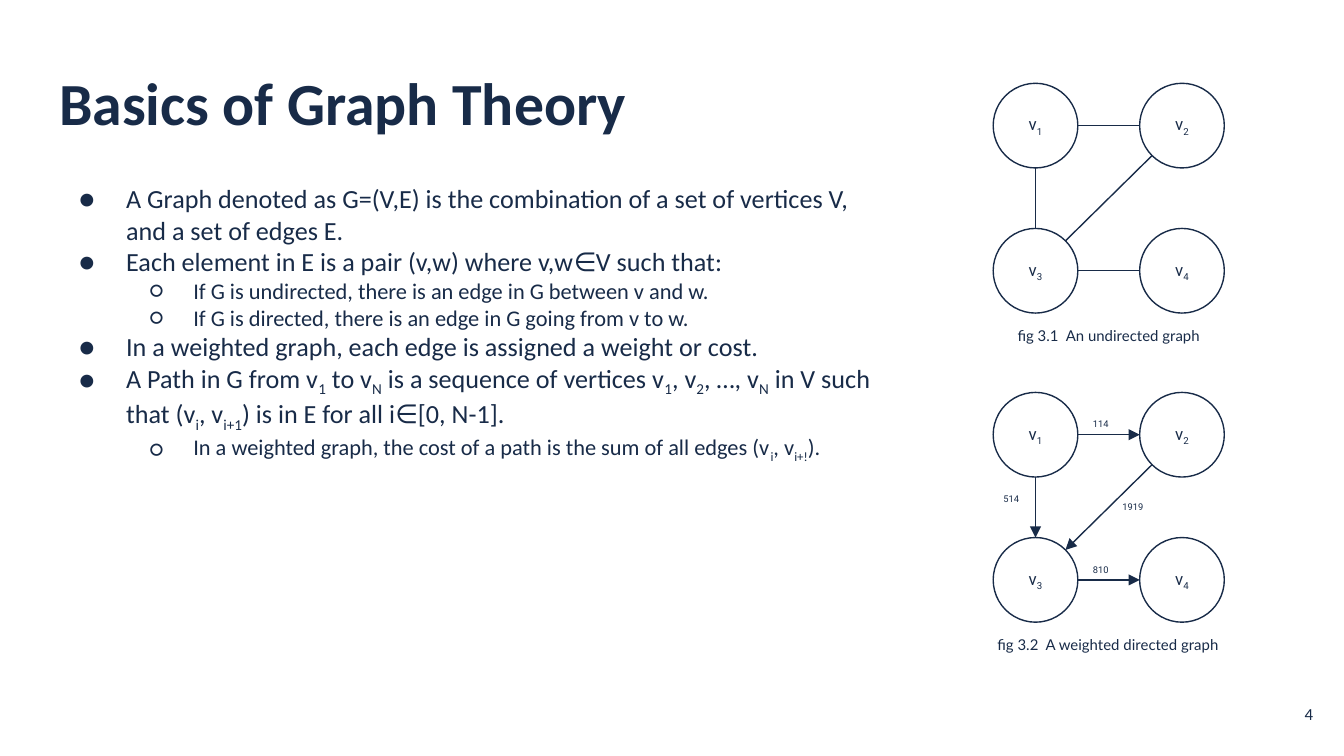
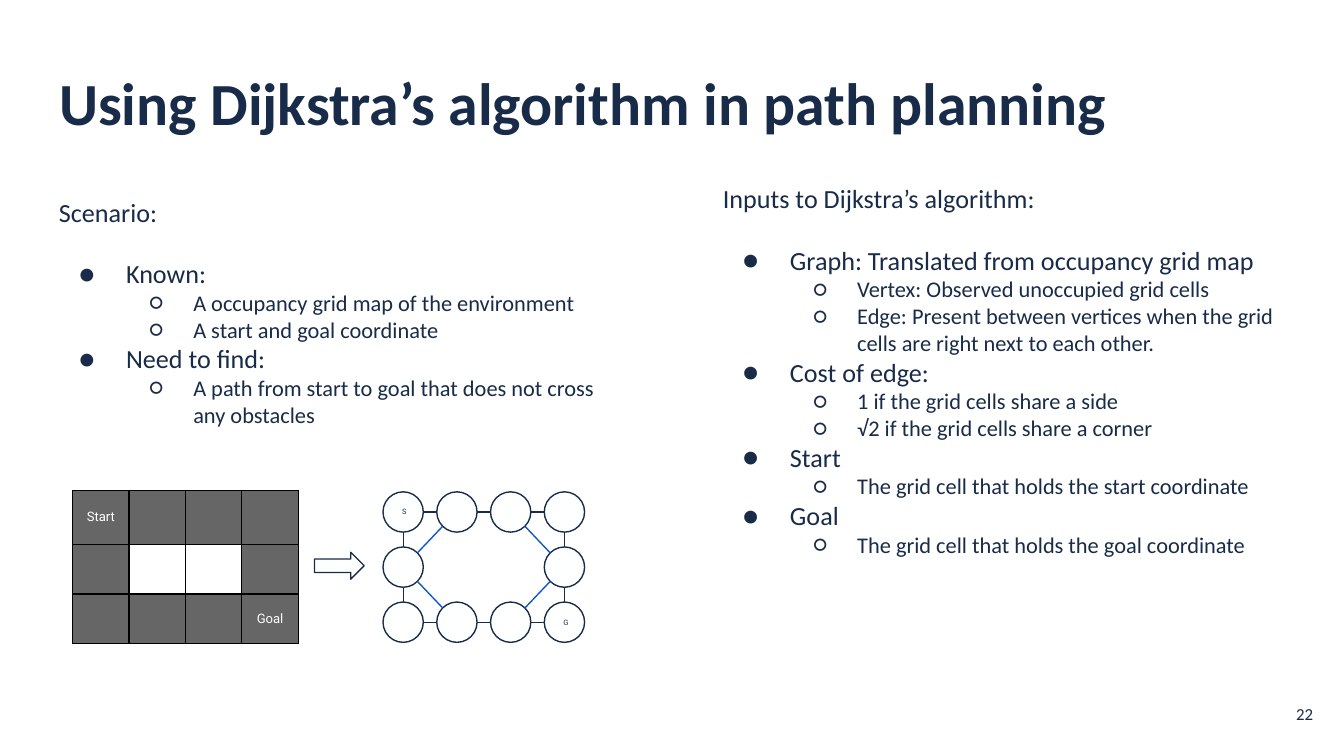
"""Build two slides on graph theory and on path planning with Dijkstra's algorithm."""
from dataclasses import dataclass
from typing import NamedTuple

from lxml import etree
from pptx import Presentation
from pptx.dml.color import RGBColor
from pptx.enum.shapes import MSO_CONNECTOR, MSO_SHAPE
from pptx.enum.text import MSO_ANCHOR, MSO_AUTO_SIZE, PP_ALIGN
from pptx.oxml.ns import qn
from pptx.util import Emu, Pt

STRAIGHT = MSO_CONNECTOR.STRAIGHT
OVAL, ARROW = MSO_SHAPE.OVAL, MSO_SHAPE.RIGHT_ARROW
TOP, MIDDLE = MSO_ANCHOR.TOP, MSO_ANCHOR.MIDDLE
LEFT, CENTER, RIGHT = PP_ALIGN.LEFT, PP_ALIGN.CENTER, PP_ALIGN.RIGHT
NO_AUTOFIT = MSO_AUTO_SIZE.NONE
EMU_PER_PX = 9144
SLIDE_WIDTH = 1000
TITLE_ONLY = 5
INSET = 10
DIAGONAL = 0.707


@dataclass(frozen=True)
class Theme:
    """Colours, fonts and type sizes shared by the slides."""
    navy: str = "182B48"
    blue: str = "1155CC"
    paper: str = "FEFFFF"
    white: str = "FFFFFF"
    gray: str = "666666"
    black: str = "000000"
    text_font: str = "Calibri"
    caption_font: str = "Lato"
    label_font: str = "Roboto"
    title_size: int = 32
    level_sizes: tuple = (14, 12)
    small_size: int = 9
    caption_size: int = 8
    cell_size: int = 7
    weight_size: int = 5
    mark_size: int = 4
    line_width: float = 0.75


THEME = Theme()


class Box(NamedTuple):
    """A rectangle in px."""
    left: int
    top: int
    width: int
    height: int


class Style(NamedTuple):
    """How a text is set."""
    size: int
    font: str = THEME.label_font
    color: str = THEME.navy
    bold: bool = False
    align: int = CENTER
    anchor: int = MIDDLE


class Item(NamedTuple):
    """A line of body text; level -1 has no bullet, and bars enclose subscripts."""
    level: int
    text: str
    before: int = 0


class Bullet(NamedTuple):
    """Sign and indents of a list level."""
    sign: str
    margin: int
    hanging: int


class Node(NamedTuple):
    """A vertex at a grid position."""
    column: int
    row: int
    label: str = ""


class Edge(NamedTuple):
    """An edge between two node indices, with its weight label beside the middle."""
    start: int
    end: int
    weight: str = ""
    shift: tuple = (0, 0)
    width: int = 35


class Grid(NamedTuple):
    """Origin, pitches and node size of a graph."""
    left: int
    top: int
    column_pitch: int
    row_pitch: int
    size: int

    def center(self, node: Node) -> tuple:
        """Return the centre of a node."""
        return (self.left + node.column * self.column_pitch + self.size / 2,
                self.top + node.row * self.row_pitch + self.size / 2)


BULLETS = (Bullet("●", 50, 35), Bullet("○", 100, 33))
TITLE_BOX = Box(34, 49, 932, 63)
NUMBER_BOX = Box(927, 510, 60, 43)
TITLE = Style(THEME.title_size, THEME.text_font, bold=True, align=LEFT, anchor=TOP)
NUMBER = Style(THEME.small_size, THEME.text_font, align=RIGHT)
CAPTION = Style(THEME.caption_size, THEME.caption_font, anchor=TOP)
VERTEX = Style(THEME.small_size)
WEIGHT = Style(THEME.weight_size)
MARK = Style(THEME.mark_size)
CELL = Style(THEME.cell_size, color=THEME.white)

BASICS = (
    Item(0, "A Graph denoted as G=(V,E) is the combination of a set of vertices V, and a set of edges E."),
    Item(0, "Each element in E is a pair (v,w) where v,w∈V such that:"),
    Item(1, "If G is undirected, there is an edge in G between v and w."),
    Item(1, "If G is directed, there is an edge in G going from v to w."),
    Item(0, "In a weighted graph, each edge is assigned a weight or cost."),
    Item(0, "A Path in G from v|1| to v|N| is a sequence of vertices v|1|, v|2|, …, v|N| in V such "
            "that (v|i|, v|i+1|) is in E for all i∈[0, N-1]."),
    Item(1, "In a weighted graph, the cost of a path is the sum of all edges (v|i|, v|i+!|)."),
)
INPUTS = (
    Item(-1, "Inputs to Dijkstra’s algorithm:"),
    Item(0, "Graph: Translated from occupancy grid map", 16),
    Item(1, "Vertex: Observed unoccupied grid cells"),
    Item(1, "Edge: Present between vertices when the grid cells are right next to each other."),
    Item(0, "Cost of edge:"),
    Item(1, "1 if the grid cells share a side"),
    Item(1, "√2 if the grid cells share a corner"),
    Item(0, "Start"),
    Item(1, "The grid cell that holds the start coordinate"),
    Item(0, "Goal"),
    Item(1, "The grid cell that holds the goal coordinate"),
)
SCENARIO = (
    Item(-1, "Scenario:"),
    Item(0, "Known:", 16),
    Item(1, "A occupancy grid map of the environment"),
    Item(1, "A start and goal coordinate"),
    Item(0, "Need to find:"),
    Item(1, "A path from start to goal that does not cross any obstacles"),
)
VERTICES = tuple(Node(i % 2, i // 2, f"v|{i + 1}|") for i in range(4))
UNDIRECTED = (Edge(0, 1), Edge(0, 2), Edge(2, 1), Edge(2, 3))
DIRECTED = (
    Edge(0, 1, "114", (-6, -8)),
    Edge(1, 2, "1919", (18, 0), 46),
    Edge(0, 2, "514", (-18, -6)),
    Edge(2, 3, "810", (-6, -7)),
)
MAP_ROWS = (("Start", "", "", ""), ("", "", "", ""), ("", "", "", "Goal"))
MAP_HEIGHTS = (40, 37, 37)
OBSTACLES = ((1, 1), (1, 2))
MARKS = {"Start": "S", "Goal": "G"}


def emu(px: float) -> Emu:
    """Turn px into EMU."""
    return Emu(round(px * EMU_PER_PX))


def place(box: Box) -> tuple:
    """Return the four lengths of a box in EMU."""
    return tuple(emu(length) for length in box)


def rgb(color: str) -> RGBColor:
    """Read a hex colour."""
    return RGBColor.from_string(color)


def write(paragraph, text: str, style: Style) -> None:
    """Set a paragraph, lowering the parts between bars."""
    first, *others = text.split("|")
    paragraph.text = first
    for part in others:
        if part:
            paragraph.add_run().text = part
    paragraph.alignment = style.align
    for index, run in enumerate(paragraph.runs):
        run.font.size, run.font.name, run.font.bold = Pt(style.size), style.font, style.bold
        run.font.color.rgb = rgb(style.color)
        if index % 2:
            run.font._element.set("baseline", "-25000")


def prepare(frame, anchor: int) -> None:
    """Give a text frame wrapping, anchor and even insets."""
    frame.word_wrap, frame.auto_size, frame.vertical_anchor = True, NO_AUTOFIT, anchor
    frame.margin_left = frame.margin_right = frame.margin_top = frame.margin_bottom = emu(INSET)


def add_text(shapes, box: Box, text: str, style: Style) -> None:
    """Add a one-paragraph text box."""
    frame = shapes.add_textbox(*place(box)).text_frame
    prepare(frame, style.anchor)
    write(frame.paragraphs[0], text, style)


def add_body(slide, box: Box, items: tuple) -> None:
    """Add a bulleted list."""
    frame = slide.shapes.add_textbox(*place(box)).text_frame
    prepare(frame, TOP)
    frame.text = "\n".join(item.text for item in items)
    for paragraph, item in zip(frame.paragraphs, items):
        level = max(item.level, 0)
        write(paragraph, item.text, Style(THEME.level_sizes[level], THEME.text_font, align=LEFT))
        paragraph.level, paragraph.space_before = level, Pt(item.before)
        if item.level >= 0:
            bullet = BULLETS[level]
            properties = paragraph._p.get_or_add_pPr()
            properties.set("marL", str(emu(bullet.margin)))
            properties.set("indent", str(emu(-bullet.hanging)))
            etree.SubElement(properties, qn("a:buFont"), typeface=THEME.caption_font)
            etree.SubElement(properties, qn("a:buChar"), char=bullet.sign)


def add_outlined(shapes, kind: int, box: Box, fill: str = ""):
    """Add a navy-outlined shape and return it."""
    shape = shapes.add_shape(kind, *place(box))
    shape.shadow.inherit = False
    if fill:
        shape.fill.solid()
        shape.fill.fore_color.rgb = rgb(fill)
    else:
        shape.fill.background()
    shape.line.color.rgb, shape.line.width = rgb(THEME.navy), Pt(THEME.line_width)
    return shape


def add_edge(shapes, grid: Grid, start: Node, end: Node, color: str, directed: bool) -> tuple:
    """Join the rims of two nodes and return the middle of the edge."""
    (x1, y1), (x2, y2) = grid.center(start), grid.center(end)
    across, down = (x2 > x1) - (x2 < x1), (y2 > y1) - (y2 < y1)
    reach = grid.size / 2 * (DIAGONAL if across and down else 1)
    rim = (x1 + across * reach, y1 + down * reach, x2 - across * reach, y2 - down * reach)
    line = shapes.add_connector(STRAIGHT, *(emu(length) for length in rim))
    line.line.color.rgb, line.line.width = rgb(color), Pt(THEME.line_width)
    if directed:
        etree.SubElement(line.line._get_or_add_ln(), qn("a:tailEnd"), type="triangle")
    etree.SubElement(line._element.spPr, qn("a:effectLst"))
    return (x1 + x2) / 2, (y1 + y2) / 2


def add_graph(shapes, grid: Grid, nodes: tuple, edges: tuple, style: Style,
              fill: str = "", directed: bool = False, diagonal: str = THEME.navy) -> None:
    """Draw nodes, edges and weights."""
    for node in nodes:
        x, y = grid.center(node)
        box = Box(x - grid.size / 2, y - grid.size / 2, grid.size, grid.size)
        circle = add_outlined(shapes, OVAL, box, fill)
        if node.label:
            prepare(circle.text_frame, style.anchor)
            write(circle.text_frame.paragraphs[0], node.label, style)
    for edge in edges:
        start, end = nodes[edge.start], nodes[edge.end]
        slanted = start.column != end.column and start.row != end.row
        x, y = add_edge(shapes, grid, start, end, diagonal if slanted else THEME.navy, directed)
        if edge.weight:
            label = Box(x + edge.shift[0] - edge.width / 2, y + edge.shift[1] - 9, edge.width, 17)
            add_text(shapes, label, edge.weight, WEIGHT)


def add_map(slide, box: Box) -> None:
    """Add the occupancy grid map as a table."""
    table = slide.shapes.add_table(len(MAP_ROWS), len(MAP_ROWS[0]), *place(box)).table
    table.first_row = table.horz_banding = False
    for row, height in zip(table.rows, MAP_HEIGHTS):
        row.height = emu(height)
    for r, labels in enumerate(MAP_ROWS):
        for c, label in enumerate(labels):
            cell = table.cell(r, c)
            cell.margin_left = cell.margin_right = cell.margin_top = cell.margin_bottom = emu(INSET)
            cell.vertical_anchor = MIDDLE
            paragraph = cell.text_frame.paragraphs[0]
            if label:
                write(paragraph, label, CELL)
            else:
                etree.SubElement(paragraph._p, qn("a:endParaRPr"), sz=str(CELL.size * 100))
            for side in ("a:lnL", "a:lnR", "a:lnT", "a:lnB"):
                border = etree.SubElement(cell._tc.get_or_add_tcPr(), qn(side), w=str(Pt(THEME.line_width)))
                etree.SubElement(etree.SubElement(border, qn("a:solidFill")), qn("a:srgbClr"), val=THEME.black)
            cell.fill.solid()
            cell.fill.fore_color.rgb = rgb(THEME.white if (r, c) in OBSTACLES else THEME.gray)


def add_slide(deck, title: str, number: str):
    """Add a slide with its title and number."""
    slide = deck.slides.add_slide(deck.slide_layouts[TITLE_ONLY])
    heading = slide.shapes.title
    heading.left, heading.top, heading.width, heading.height = place(TITLE_BOX)
    prepare(heading.text_frame, TITLE.anchor)
    write(heading.text_frame.paragraphs[0], title, TITLE)
    heading.text_frame.paragraphs[0].line_spacing = 0.8
    add_text(slide.shapes, NUMBER_BOX, number, NUMBER)
    return slide


def add_basics(deck) -> None:
    """Build the slide on graph theory."""
    slide = add_slide(deck, "Basics of Graph Theory", "4")
    add_body(slide, Box(34, 126, 639, 374), BASICS)
    figure = slide.shapes.add_group_shape().shapes
    add_graph(figure, Grid(739, 62, 109, 108, 63), VERTICES, UNDIRECTED, VERTEX)
    add_text(figure, Box(739, 233, 172, 37), "fig 3.1  An undirected graph", CAPTION)
    add_graph(slide.shapes, Grid(739, 292, 109, 108, 63), VERTICES, DIRECTED, VERTEX, directed=True)
    add_text(slide.shapes, Box(725, 463, 199, 37), "fig 3.2  A weighted directed graph", CAPTION)


def add_planning(deck) -> None:
    """Build the slide on path planning."""
    slide = add_slide(deck, "Using Dijkstra’s algorithm in path planning", "22")
    add_body(slide, Box(528, 126, 437, 374), INPUTS)
    add_body(slide, Box(34, 136, 437, 215), SCENARIO)
    add_map(slide, Box(54, 365, 168, 114))
    cells = tuple(Node(c, r, MARKS.get(label, "")) for r, labels in enumerate(MAP_ROWS)
                  for c, label in enumerate(labels) if (r, c) not in OBSTACLES)
    neighbours = tuple(Edge(i, j) for i, a in enumerate(cells) for j, b in enumerate(cells)
                       if i < j and abs(a.column - b.column) <= 1 and abs(a.row - b.row) <= 1)
    add_graph(slide.shapes, Grid(285, 366, 40, 41, 30), cells, neighbours, MARK,
              fill=THEME.paper, diagonal=THEME.blue)
    add_outlined(slide.shapes, ARROW, Box(234, 411, 37, 20), THEME.paper)


def main() -> None:
    """Build and save the deck."""
    deck = Presentation()
    deck.slide_width = emu(SLIDE_WIDTH)
    deck.slide_height = emu(SLIDE_WIDTH * 9 / 16)
    add_basics(deck)
    add_planning(deck)
    deck.save("out.pptx")


if __name__ == "__main__":
    main()
